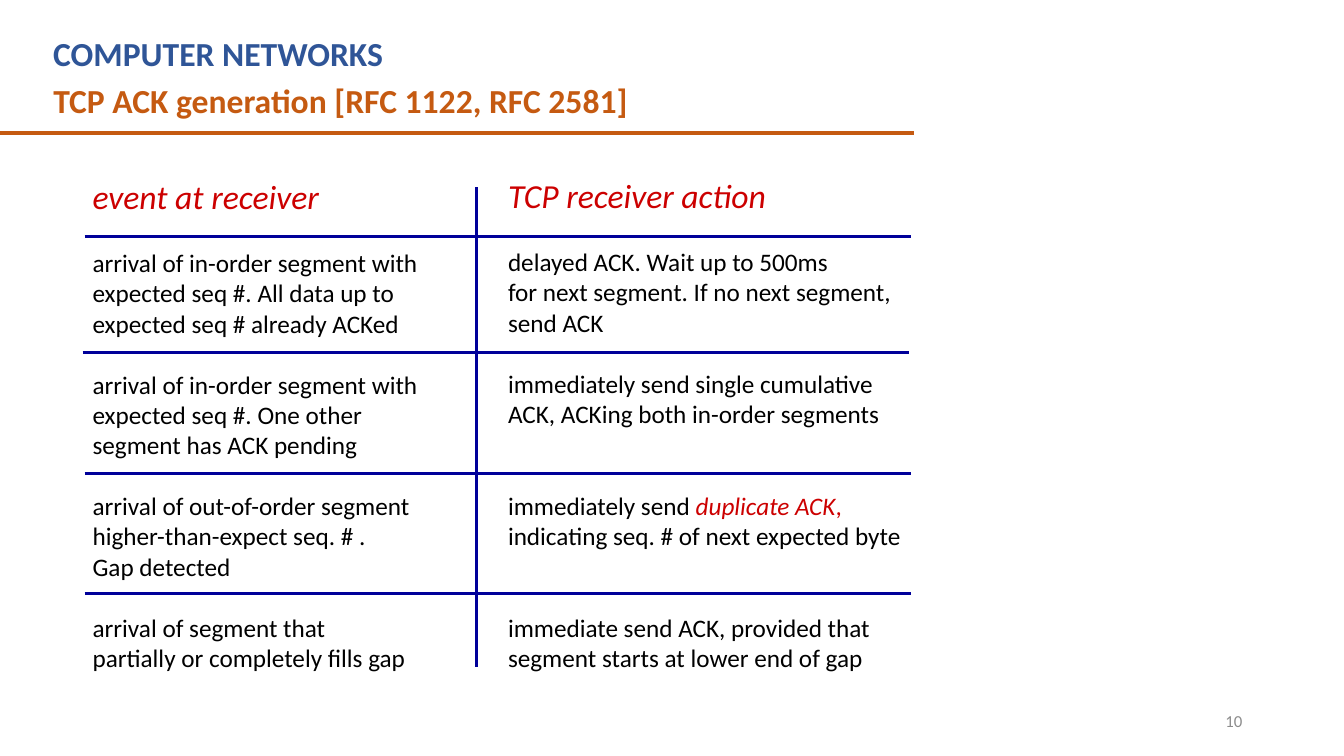
from dataclasses import dataclass

from lxml.etree import SubElement
from pptx import Presentation
from pptx.dml.color import RGBColor
from pptx.enum.shapes import MSO_CONNECTOR
from pptx.enum.text import MSO_ANCHOR, PP_ALIGN
from pptx.oxml.ns import qn
from pptx.slide import Slide
from pptx.util import Inches, Pt

BLUE, ORANGE, RED, NAVY = "2F5597", "C55A11", "CC0000", "000099"
BLACK, GRAY = "000000", "8C8C8C"
TITLE = {"size": Pt(24), "bold": True}
HEADING = {"size": Pt(24), "italic": True}
BODY = {"size": Pt(18)}
EMPHASIS = {"size": Pt(18), "italic": True}
NUMBER = {"size": Pt(12)}
LINE_PITCH = 22  # points taken by one line of body text


@dataclass
class Run:
    text: str
    color: str
    font: dict


@dataclass
class Para:
    runs: list[Run]
    before: float = 0


@dataclass
class Box:
    left: float
    top: float
    width: float
    height: float
    paras: list[Para]
    wrap: bool = True
    align: PP_ALIGN = PP_ALIGN.LEFT
    anchor: MSO_ANCHOR = MSO_ANCHOR.TOP


@dataclass
class Rule:
    x1: float
    y1: float
    x2: float
    y2: float
    color: str = NAVY
    width: float = 2.25


def rgb(color: str) -> RGBColor:
    return RGBColor.from_string(color)


def single(text: str, color: str, font: dict) -> list[Para]:
    return [Para([Run(text, color, font)])]


def column(heading: str, groups: list[list], gaps: list[int]) -> list[Para]:
    """Stack a heading and groups of lines, each group preceded by its gap in lines."""
    paras = single(heading, RED, HEADING)
    for lines, gap in zip(groups, gaps):
        for i, line in enumerate(lines):
            runs = [Run(line, BLACK, BODY)] if isinstance(line, str) else line
            paras.append(Para(runs, 0 if i else gap * LINE_PITCH))
    return paras


def draw_box(s: Slide, box: Box) -> None:
    sp = s.shapes.add_textbox(*map(Inches, (box.left, box.top, box.width, box.height)))
    tf = sp.text_frame
    tf.word_wrap = box.wrap
    tf.vertical_anchor = box.anchor
    for i, para in enumerate(box.paras):
        p = tf.add_paragraph() if i else tf.paragraphs[0]
        p.alignment = box.align
        if para.before:
            p.space_before = Pt(para.before)
        for run in para.runs:
            r = p.add_run()
            r.text = run.text
            for name, value in {"name": "Calibri", **run.font}.items():
                setattr(r.font, name, value)
            r.font.color.rgb = rgb(run.color)


def draw_rule(s: Slide, rule: Rule) -> None:
    ends = map(Inches, (rule.x1, rule.y1, rule.x2, rule.y2))
    line = s.shapes.add_connector(MSO_CONNECTOR.STRAIGHT, *ends)
    line.line.color.rgb = rgb(rule.color)
    line.line.width = Pt(rule.width)
    SubElement(line._element.spPr, qn("a:effectLst"))


EVENTS = [
    ["arrival of in-order segment with", "expected seq #. All data up to",
     "expected seq # already ACKed"],
    ["arrival of in-order segment with", "expected seq #. One other",
     "segment has ACK pending"],
    ["arrival of out-of-order segment", "higher-than-expect seq. # .", "Gap detected"],
    ["arrival of segment that", "partially or completely fills gap"],
]
DUPLICATE_ACK = [
    Run("immediately send ", BLACK, BODY),
    Run("duplicate ACK", RED, EMPHASIS),
    Run(",", RED, BODY),
]
ACTIONS = [
    ["delayed ACK. Wait up to 500ms", "for next segment. If no next segment,", "send ACK"],
    ["immediately send single cumulative", "ACK, ACKing both in-order segments"],
    [DUPLICATE_ACK, "indicating seq. # of next expected byte"],
    ["immediate send ACK, provided that", "segment starts at lower end of gap"],
]
BOXES = [
    Box(0.43, 0.28, 8.2, 0.5, single("COMPUTER NETWORKS", BLUE, TITLE)),
    Box(0.43, 0.74, 8.75, 0.5,
        single("TCP ACK generation [RFC 1122, RFC 2581]", ORANGE, TITLE)),
    Box(0.82, 1.7, 3.46, 5.52, column("event at receiver", EVENTS, [1, 1, 1, 1]), wrap=False),
    Box(4.94, 1.69, 4.15, 5.52, column("TCP receiver action", ACTIONS, [1, 1, 2, 2]),
        wrap=False),
    Box(9.42, 6.95, 3, 0.4, single("10", GRAY, NUMBER),
        align=PP_ALIGN.RIGHT, anchor=MSO_ANCHOR.MIDDLE),
]
ROW_RULES = [(0.84, 2.35), (0.82, 3.5), (0.84, 4.7), (0.84, 5.89)]
RULES = [
    Rule(-0.01, 1.32, 9.07, 1.32, ORANGE, 3),
    Rule(4.73, 1.86, 4.73, 6.62),
    *(Rule(x, y, x + 8.2, y) for x, y in ROW_RULES),
]


def main() -> None:
    prs = Presentation()
    prs.slide_width, prs.slide_height = Inches(13.33), Inches(7.5)
    s = prs.slides.add_slide(prs.slide_layouts[6])
    for box in BOXES:
        draw_box(s, box)
    for rule in RULES:
        draw_rule(s, rule)
    prs.save("out.pptx")


if __name__ == "__main__":
    main()
